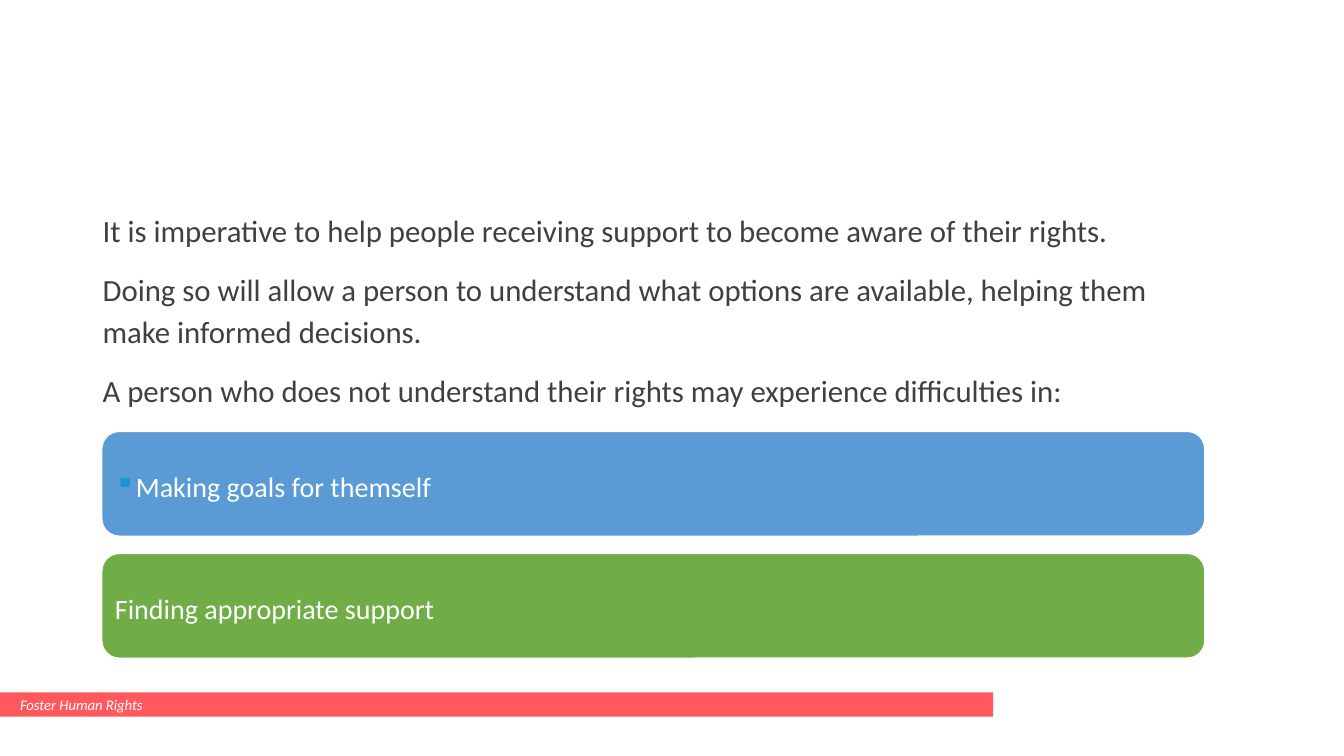
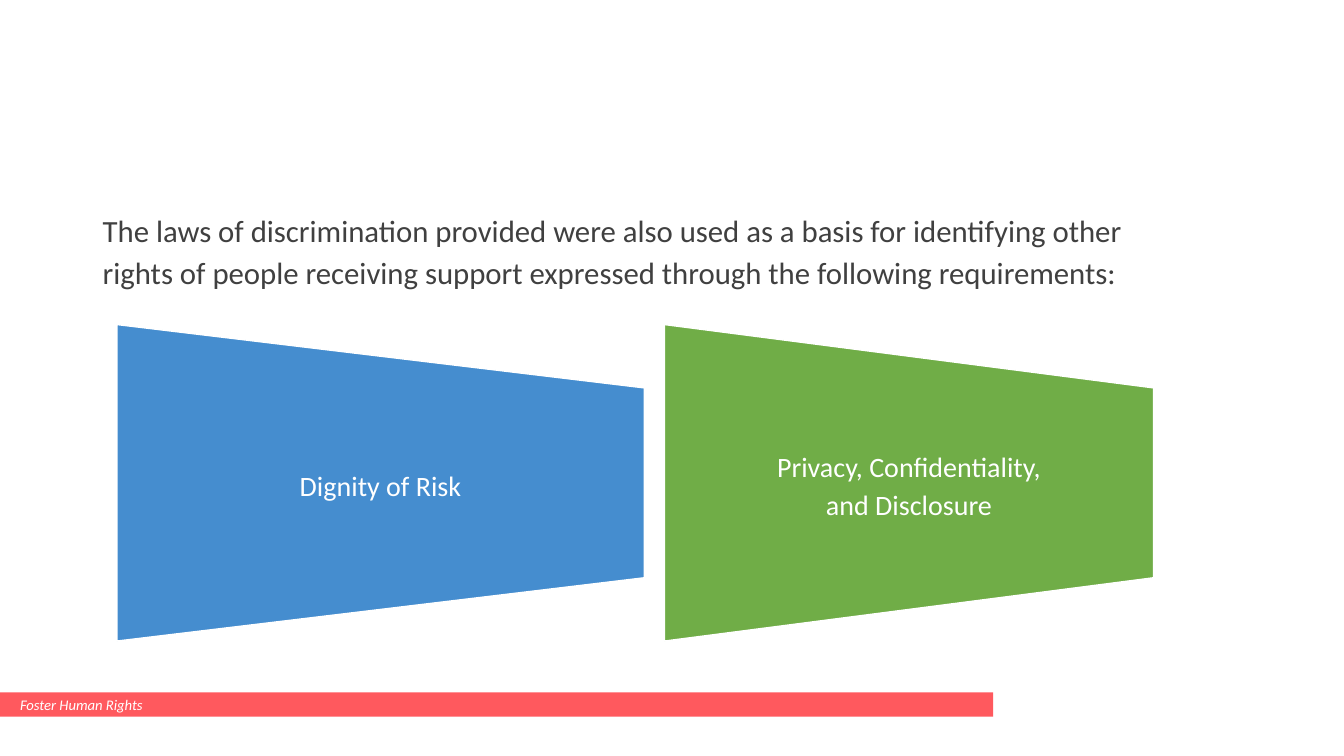
from dataclasses import dataclass

from lxml import etree
from pptx import Presentation
from pptx.dml.color import RGBColor
from pptx.enum.shapes import MSO_SHAPE
from pptx.enum.text import MSO_ANCHOR, PP_ALIGN
from pptx.oxml.ns import qn
from pptx.util import Inches, Pt

BAND = MSO_SHAPE.RECTANGLE
CARD = MSO_SHAPE.ROUNDED_RECTANGLE
FUNNEL = MSO_SHAPE.FLOWCHART_MANUAL_OPERATION
TOP, MIDDLE = MSO_ANCHOR.TOP, MSO_ANCHOR.MIDDLE
LEFT, CENTER = PP_ALIGN.LEFT, PP_ALIGN.CENTER


@dataclass(frozen=True)
class Theme:
    """Colours, font and type sizes of the presentation."""
    font: str = "Calibri"
    ink: str = "404040"
    white: str = "FFFFFF"
    band: str = "FF595E"
    card_blue: str = "5B9BD5"
    funnel_blue: str = "458DCF"
    green: str = "70AD47"
    bullet: str = "1C96D3"
    body_size: float = 22
    label_size: float = 20
    footer_size: float = 10.5
    line_spacing: float = 1.14
    gap: float = 6


THEME = Theme()


def write(frame, text, *, size, color, align=LEFT, anchor=TOP, italic=False,
          spacing=None, before=0, after=0, insets=(0.1, 0.05), indent=0, bullet=None):
    """Write one paragraph per item of text into a frame."""
    frame.word_wrap = True
    frame.vertical_anchor = anchor
    frame.margin_left = frame.margin_right = Inches(insets[0])
    frame.margin_top = frame.margin_bottom = Inches(insets[1])
    for index, content in enumerate(text):
        paragraph = frame.add_paragraph() if index else frame.paragraphs[0]
        paragraph.text = content
        paragraph.alignment = align
        paragraph.line_spacing = spacing
        paragraph.space_before = Pt(before if index else 0)
        paragraph.space_after = Pt(after)
        properties = paragraph._p.get_or_add_pPr()
        if indent:
            properties.set("marL", str(Inches(indent)))
            properties.set("indent", "0")
        if bullet:
            tint = etree.SubElement(properties, qn("a:buClr"))
            etree.SubElement(tint, qn("a:srgbClr"), val=THEME.bullet)
            etree.SubElement(properties, qn("a:buChar"), char=bullet)
        for run in paragraph.runs:
            run.font.name = THEME.font
            run.font.size = Pt(size)
            run.font.italic = italic
            run.font.color.rgb = RGBColor.from_string(color)


class Deck:
    """The presentation, its shared style and its current slide."""

    def __init__(self):
        """Open an empty widescreen presentation."""
        self.presentation = Presentation()
        self.presentation.slide_width = Inches(13.33)
        self.presentation.slide_height = Inches(7.5)
        self.slide = None

    def start_slide(self, *statements):
        """Add a slide with its statements and the footer band."""
        self.slide = self.presentation.slides.add_slide(self.presentation.slide_layouts[6])
        self.text(statements, 0.92, 2, 11.03, 4.76, size=THEME.body_size, color=THEME.ink,
                  spacing=THEME.line_spacing, before=THEME.gap, after=THEME.gap)
        footer = self.shape(BAND, 0, 6.87, 9.85, 0.24, THEME.band)
        write(footer.text_frame, ["Foster Human Rights"], size=THEME.footer_size,
              color=THEME.white, italic=True, anchor=MIDDLE, indent=0.1)

    def text(self, paragraphs, left, top, width, height, **style):
        """Add a text box."""
        box = self.slide.shapes.add_textbox(*map(Inches, (left, top, width, height)))
        write(box.text_frame, paragraphs, **style)

    def shape(self, preset, left, top, width, height, fill, outline=None):
        """Add a flat filled shape."""
        shape = self.slide.shapes.add_shape(preset, *map(Inches, (left, top, width, height)))
        shape.shadow.inherit = False
        shape.fill.solid()
        shape.fill.fore_color.rgb = RGBColor.from_string(fill)
        if outline:
            shape.line.color.rgb = RGBColor.from_string(outline)
            shape.line.width = Pt(1)
        else:
            shape.line.fill.background()
        return shape

    def card(self, label, top, fill, bullet=None):
        """Add a rounded card with its label."""
        card = self.shape(CARD, 1.01, top, 10.94, 1.04, fill, THEME.white)
        write(card.text_frame, [label], size=THEME.label_size, color=THEME.white,
              anchor=MIDDLE, spacing=THEME.line_spacing, after=THEME.gap,
              insets=(0.08, 0.08), bullet=bullet)

    def funnel(self, label, left, width, fill):
        """Add a funnel that narrows to the right, with an upright label."""
        height, middle = 3.14, 4.79
        label_height = 0.6 * height
        funnel = self.shape(FUNNEL, left + (width - height) / 2, middle - width / 2,
                            height, width, fill, THEME.white)
        funnel.rotation = 270
        self.text([label], left, middle - label_height / 2, width, label_height,
                  size=THEME.label_size, color=THEME.white, align=CENTER, anchor=MIDDLE,
                  spacing=THEME.line_spacing, after=THEME.gap, insets=(0.14, 0))


def main():
    """Build and save both slides."""
    deck = Deck()

    deck.start_slide(
        "It is imperative to help people receiving support to become aware of their rights.",
        "Doing so will allow a person to understand what options are available, "
        "helping them make informed decisions.",
        "A person who does not understand their rights may experience difficulties in:")
    deck.card("Making goals for themself", 4.28, THEME.card_blue, bullet="▪")
    deck.card("Finding appropriate support", 5.49, THEME.green)

    deck.start_slide(
        "The laws of discrimination provided were also used as a basis for identifying other "
        "rights of people receiving support expressed through the following requirements:")
    deck.funnel("Dignity of Risk", 1.16, 5.23, THEME.funnel_blue)
    deck.funnel("Privacy, Confidentiality,\vand Disclosure", 6.59, 4.85, THEME.green)

    deck.presentation.save("out.pptx")


if __name__ == "__main__":
    main()
